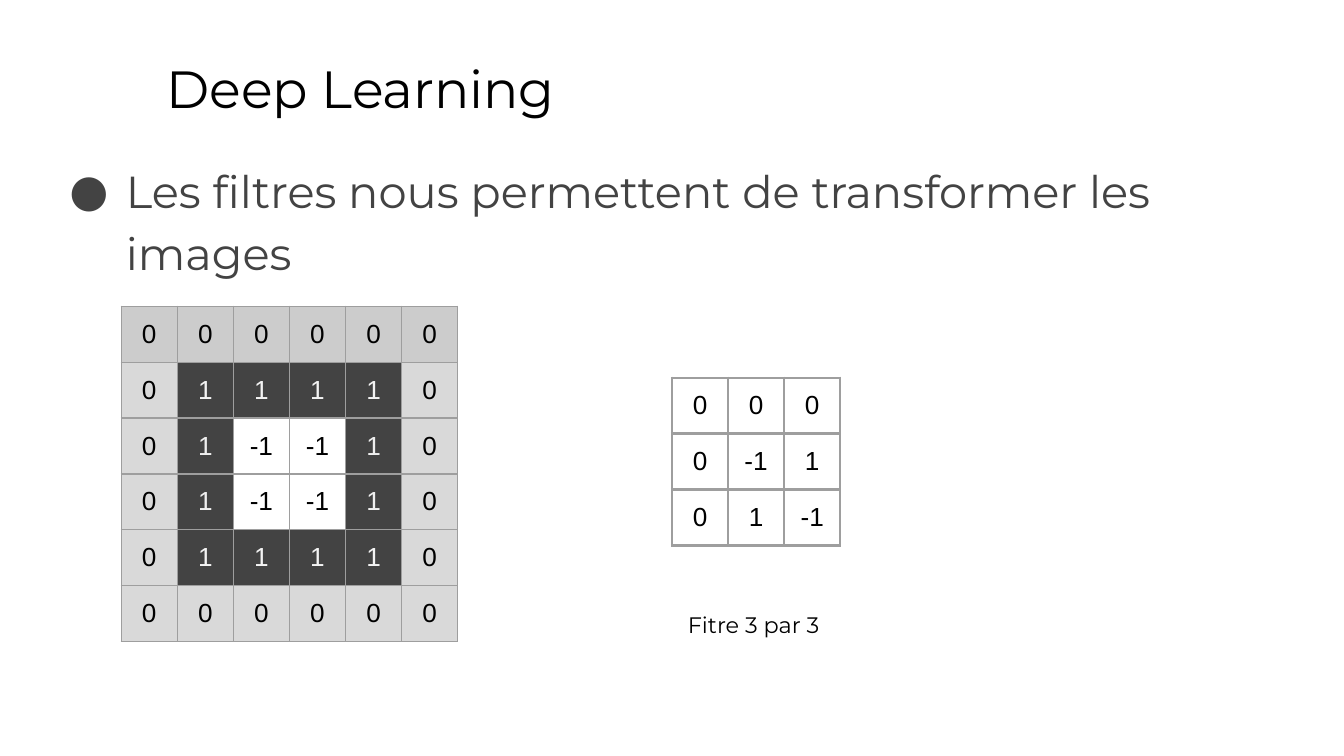
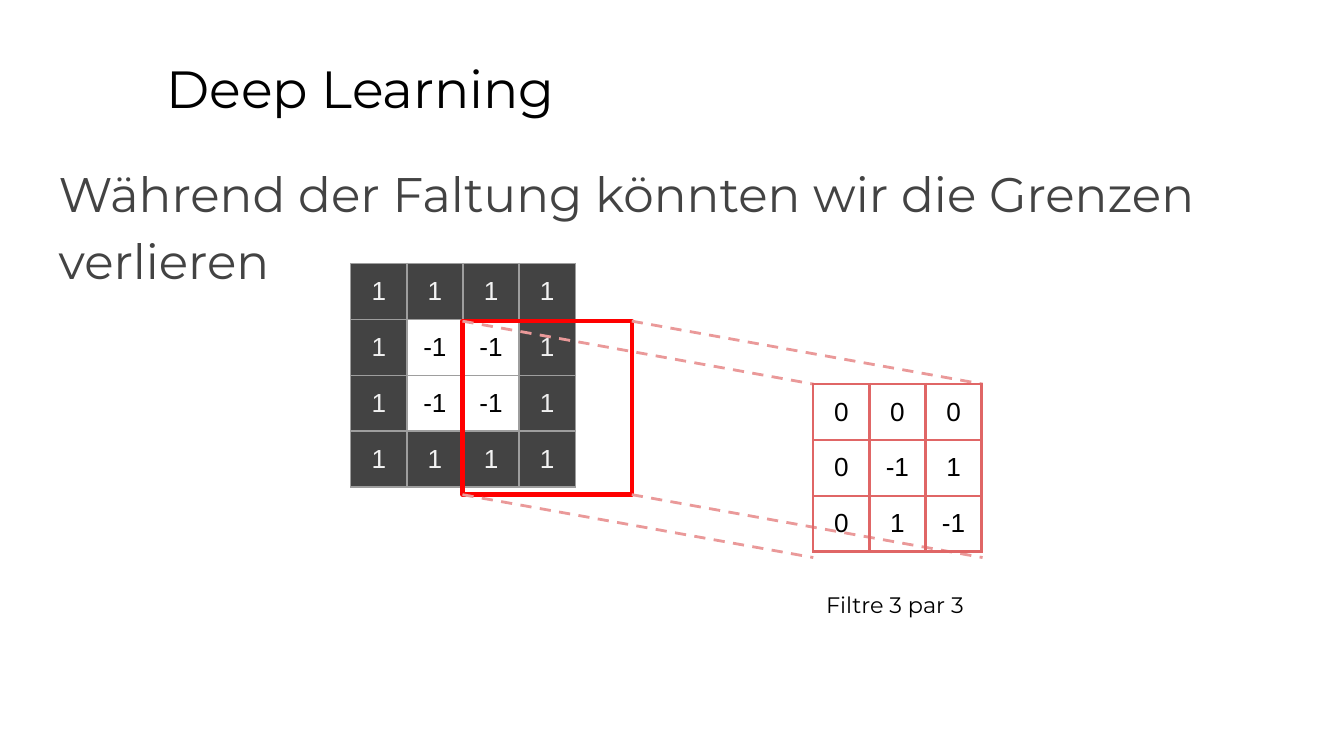
from itertools import product

from lxml import etree
from pptx import Presentation
from pptx.dml.color import RGBColor
from pptx.enum import dml, shapes, text
from pptx.oxml import ns
from pptx.util import Cm, Pt

# Colours
BLACK = RGBColor(0x00, 0x00, 0x00)
DARK = RGBColor(0x43, 0x43, 0x43)
GREY = RGBColor(0x9E, 0x9E, 0x9E)
TOP_PAD = RGBColor(0xCC, 0xCC, 0xCC)
PAD = RGBColor(0xD9, 0xD9, 0xD9)
PALE = RGBColor(0xF3, 0xF3, 0xF3)
PALE_SIDE = RGBColor(0xEF, 0xEF, 0xEF)
RED = RGBColor(0xFF, 0x00, 0x00)
ROSE = RGBColor(0xE0, 0x66, 0x66)
PINK = RGBColor(0xEA, 0x99, 0x99)

FONT, CELL_FONT = "Montserrat", "Arial"
INSET = Cm(0.25)
COL_W, ROW_H = 1.06, 1.02
FILTER_W, FILTER_H = 3.2, 3.28  # drawn size of the 3 by 3 filter

# Matrices
IMAGE = [[1, 1, 1, 1], [1, -1, -1, 1], [1, -1, -1, 1], [1, 1, 1, 1]]
FILTER = [[0, 0, 0], [0, -1, 1], [0, 1, -1]]


def pad(matrix):
    """Surround a matrix with zeros."""
    edge = [0] * (len(matrix[0]) + 2)
    return [edge] + [[0, *row, 0] for row in matrix] + [edge]


def sub(parent, tag, **attrs):
    return etree.SubElement(parent, ns.qn(tag), **attrs)


def set_font(p, size, color, name=FONT):
    p.font.name, p.font.size, p.font.bold = name, Pt(size), False
    p.font.color.rgb = color


def set_frame(tf):
    tf.word_wrap = True
    tf.auto_size = text.MSO_AUTO_SIZE.NONE
    tf.vertical_anchor = text.MSO_ANCHOR.TOP
    tf.margin_left = tf.margin_right = tf.margin_top = tf.margin_bottom = INSET


def fill_placeholder(sp, words, left, top, width, height):
    sp.left, sp.top, sp.width, sp.height = map(Cm, (left, top, width, height))
    set_frame(sp.text_frame)
    sp.text_frame.text = words
    p = sp.text_frame.paragraphs[0]
    p.alignment = text.PP_ALIGN.LEFT
    p.space_before = Pt(0)
    return p


def add_slide(prs, words, size, bullet=False):
    """Slide with the shared title and one body paragraph."""
    s = prs.slides.add_slide(prs.slide_layouts[1])
    p = fill_placeholder(s.shapes.title, "Deep Learning", 2.9, 0.81, 21.64, 1.6)
    set_font(p, 28, BLACK)

    p = fill_placeholder(s.placeholders[1], words, 0.86, 2.69, 23.67, 1.73)
    p.line_spacing = 1.15
    p.space_after = Pt(0 if bullet else 16)
    pPr = p._p.get_or_add_pPr()
    pPr.set("marL", str(Cm(1.27) if bullet else 0))
    pPr.set("indent", str(Cm(-1.07) if bullet else 0))
    if bullet:
        sub(sub(pPr, "a:buClr"), "a:srgbClr", val=str(DARK))
        sub(pPr, "a:buFont", typeface=FONT)
        sub(pPr, "a:buChar", char="●")
    else:
        sub(pPr, "a:buNone")
    set_font(p, size, DARK)
    return s


def set_borders(cell, color, width):
    tcPr = cell._tc.get_or_add_tcPr()
    for side in ("a:lnL", "a:lnR", "a:lnT", "a:lnB"):
        ln = sub(tcPr, side, w=str(Pt(width)))
        sub(sub(ln, "a:solidFill"), "a:srgbClr", val=str(color))


def pixel_style(matrix, i, j):
    """Fill and text colour of an image cell."""
    value = matrix[i][j]
    if value == 0:
        return (TOP_PAD if i == 0 else PAD), BLACK
    if value == 1:
        return DARK, (PALE_SIDE if -1 in matrix[i] else PALE)
    return None, BLACK


def filter_style(matrix, i, j):
    return None, BLACK


def add_matrix(s, matrix, left, top, style, border, width):
    rows, cols = len(matrix), len(matrix[0])
    table = s.shapes.add_table(rows, cols, Cm(left), Cm(top),
                               Cm(cols * COL_W), Cm(rows * ROW_H)).table
    table.first_row = table.horz_banding = False
    for col in table.columns:
        col.width = Cm(COL_W)
    for row in table.rows:
        row.height = Cm(ROW_H)
    for i, j in product(range(rows), range(cols)):
        cell = table.cell(i, j)
        fill, color = style(matrix, i, j)
        cell.text = str(matrix[i][j])
        cell.margin_left = cell.margin_right = INSET
        cell.margin_top = cell.margin_bottom = INSET
        p = cell.text_frame.paragraphs[0]
        p.alignment = text.PP_ALIGN.CENTER
        set_font(p, 14, color, CELL_FONT)
        set_borders(cell, border, width)
        if fill is None:
            cell.fill.background()
        else:
            cell.fill.solid()
            cell.fill.fore_color.rgb = fill


def add_caption(s, words, left, top):
    tf = s.shapes.add_textbox(Cm(left), Cm(top), Cm(3.66), Cm(1.09)).text_frame
    set_frame(tf)
    tf.text = words
    p = tf.paragraphs[0]
    p.alignment = text.PP_ALIGN.CENTER
    set_font(p, 12, BLACK)


def add_window(s, left, top):
    """Red outline of the area under the filter."""
    sp = s.shapes.add_shape(shapes.MSO_SHAPE.RECTANGLE, Cm(left), Cm(top),
                            Cm(FILTER_W), Cm(FILTER_H))
    sp.shadow.inherit = False
    sp.fill.background()
    sp.line.color.rgb = RED
    sp.line.width = Pt(2.25)


def add_projection(s, start, end):
    """Dashed lines from the window corners to the filter corners."""
    for dx, dy in product((0, FILTER_W), (0, FILTER_H)):
        line = s.shapes.add_connector(
            shapes.MSO_CONNECTOR.STRAIGHT, Cm(start[0] + dx), Cm(start[1] + dy),
            Cm(end[0] + dx), Cm(end[1] + dy))
        line.line.color.rgb = PINK
        line.line.width = Pt(1.5)
        line.line.dash_style = dml.MSO_LINE.DASH
        sub(line._element.spPr, "a:effectLst")


def main():
    prs = Presentation()
    prs.slide_width, prs.slide_height = Cm(25.4), Cm(14.29)

    # Slide 1: padded image and filter
    s = add_slide(prs, "Les filtres nous permettent de transformer les images",
                  24, bullet=True)
    add_matrix(s, pad(IMAGE), 2.29, 5.79, pixel_style, GREY, 0.75)
    add_matrix(s, FILTER, 12.7, 7.14, filter_style, GREY, 1.5)
    add_caption(s, "Fitre 3 par 3 ", 12.47, 11.3)

    # Slide 2: filter reaching past the image border
    s = add_slide(prs, "Während der Faltung könnten wir die Grenzen verlieren", 26)
    window, kernel = (8.74, 6.07), (15.37, 7.26)
    add_matrix(s, IMAGE, 6.63, 4.98, pixel_style, GREY, 0.75)
    add_window(s, *window)
    add_projection(s, window, kernel)
    add_caption(s, "Filtre 3 par 3 ", 15.14, 10.92)
    add_matrix(s, FILTER, *kernel, filter_style, ROSE, 1.5)

    prs.save("out.pptx")


if __name__ == "__main__":
    main()
